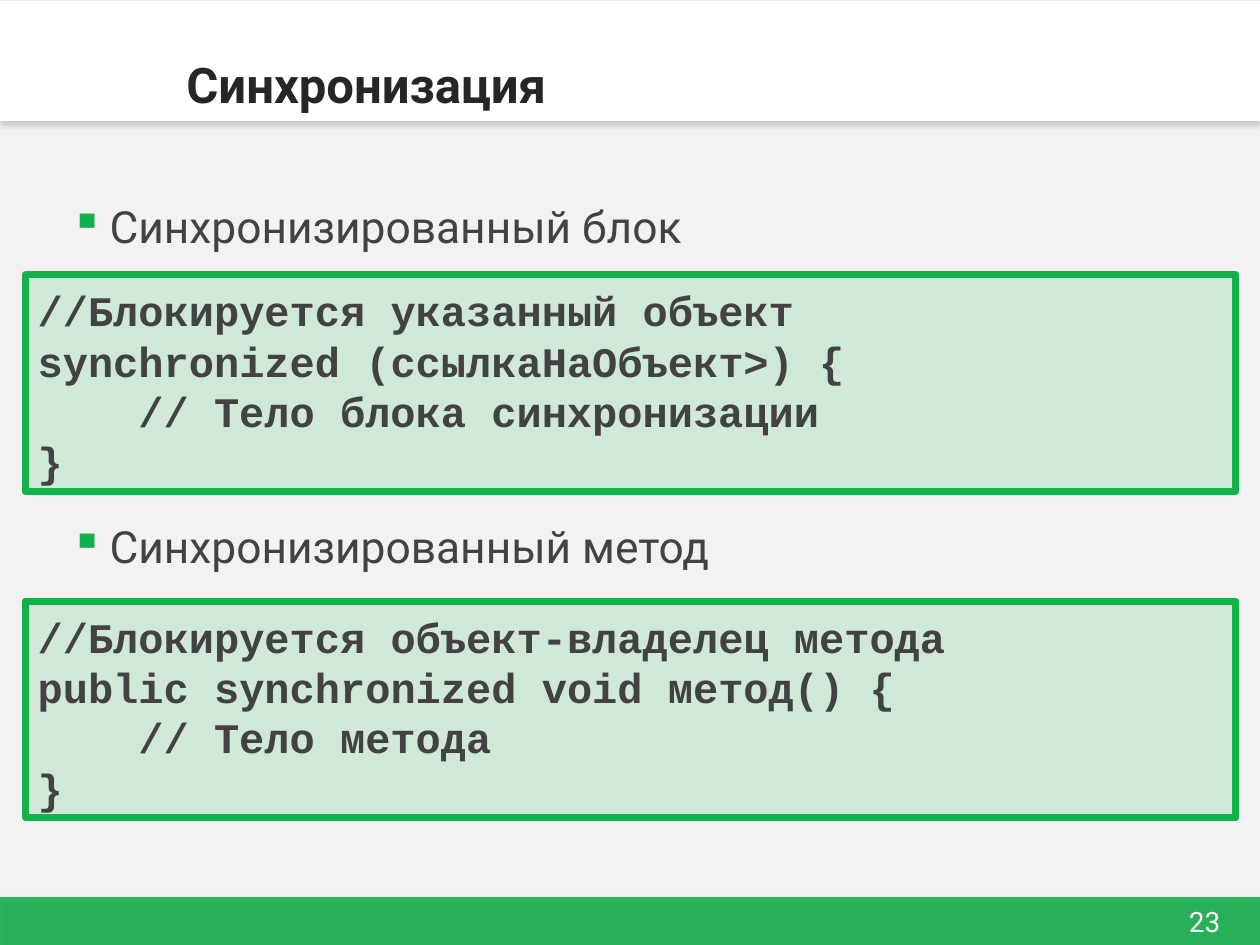
from dataclasses import dataclass

from lxml import etree
from pptx import Presentation
from pptx import util as u
from pptx.dml.color import RGBColor
from pptx.enum import shapes, text
from pptx.oxml import parse_xml
from pptx.oxml.ns import nsdecls, qn

GREEN = RGBColor(0x13, 0xB1, 0x4A)
WHITE = RGBColor(0xFF, 0xFF, 0xFF)
PAGE_GREY = RGBColor(0xF2, 0xF2, 0xF2)
TEXT_GREY = RGBColor(0x42, 0x42, 0x42)
TITLE_GREY = RGBColor(0x26, 0x26, 0x26)
SHADOW_BLACK = RGBColor(0, 0, 0)
SHADOW_GREY = RGBColor(0x80, 0x80, 0x80)

TITLE_FONT = {"name": "Roboto", "size": u.Pt(28), "bold": True}
BODY_FONT = {"name": "Roboto", "size": u.Pt(25.3)}
CODE_FONT = {"name": "Courier New", "size": u.Pt(24), "bold": True}
NUMBER_FONT = {"name": "Roboto", "size": u.Pt(16)}
CODE_INDENT = u.Inches(0.8)  # four monospaced characters


@dataclass
class CodeBlock:
    top: float
    lines: list[tuple[int, str]]  # indent level, code


@dataclass
class Bar:
    top: float
    height: float
    color: RGBColor
    opacity: int
    shadow: RGBColor


BARS = [
    Bar(7.12, 0.38, GREEN, 86, SHADOW_BLACK),
    Bar(0.01, 0.95, WHITE, 100, SHADOW_GREY),
]
BULLETS = ["Синхронизированный блок", "Синхронизированный метод"]
CODE_BLOCKS = [
    CodeBlock(2.18, [
        (0, "//Блокируется указанный объект"),
        (0, "synchronized (ссылкаНаОбъект>) {"),
        (1, "// Тело блока синхронизации"),
        (0, "}"),
    ]),
    CodeBlock(4.77, [
        (0, "//Блокируется объект-владелец метода"),
        (0, "public synchronized void метод() {"),
        (1, "// Тело метода"),
        (0, "}"),
    ]),
]


def place(box, left: float, top: float, width: float, height: float) -> None:
    box.left, box.top = u.Inches(left), u.Inches(top)
    box.width, box.height = u.Inches(width), u.Inches(height)


def add_span(para, words: str, style: dict, color: RGBColor) -> None:
    span = para.add_run()
    span.text = words
    for name, value in style.items():
        setattr(span.font, name, value)
    span.font.color.rgb = color


def set_frame(frame, **values) -> None:
    for name, value in {"word_wrap": True, **values}.items():
        setattr(frame, name, value)


def add_rectangle(page, left: float, top: float, width: float, height: float,
                  color: RGBColor, opacity: int):
    box = page.shapes.add_shape(
        shapes.MSO_SHAPE.RECTANGLE, u.Inches(left), u.Inches(top),
        u.Inches(width), u.Inches(height))
    box.shadow.inherit = False
    box.fill.solid()
    box.fill.fore_color.rgb = color
    if opacity < 100:
        tint = box.element.spPr.find(qn("a:solidFill")).find(qn("a:srgbClr"))
        etree.SubElement(tint, qn("a:alpha"), val=str(opacity * 1000))
    return box


def add_bar(page, bar: Bar) -> None:
    box = add_rectangle(page, 0, bar.top, 10, bar.height, bar.color, bar.opacity)
    box.line.fill.background()
    box.element.spPr.find(qn("a:effectLst")).append(parse_xml(
        f'<a:outerShdw {nsdecls("a")} blurRad="{u.Pt(3.1)}" dist="{u.Pt(1.8)}" '
        f'dir="5400000" rotWithShape="0"><a:srgbClr val="{bar.shadow}">'
        '<a:alpha val="35000"/></a:srgbClr></a:outerShdw>'))


def add_code(page, block: CodeBlock) -> None:
    box = add_rectangle(page, 0.2, block.top, 9.61, 1.72, GREEN, 15)
    box.line.color.rgb = GREEN
    box.line.width = u.Pt(4)
    frame = box.text_frame
    set_frame(frame, vertical_anchor=text.MSO_ANCHOR.TOP, margin_top=u.Inches(0.08))
    for number, (level, code) in enumerate(block.lines):
        para = frame.add_paragraph() if number else frame.paragraphs[0]
        para.alignment = text.PP_ALIGN.LEFT
        para.line_spacing = u.Pt(28.8)
        if level:
            para._p.get_or_add_pPr().set("marL", str(level * CODE_INDENT))
        add_span(para, code, CODE_FONT, TEXT_GREY)


def add_bullets(page, bullets: list[str]) -> None:
    box = page.shapes.add_textbox(0, 0, 0, 0)
    place(box, 0.5, 1.58, 9, 5.21)
    frame = box.text_frame
    set_frame(frame, margin_left=0, margin_top=0, margin_right=0, margin_bottom=0)
    for number, words in enumerate(bullets):
        para = frame.add_paragraph() if number else frame.paragraphs[0]
        if number:
            para.space_before = u.Pt(152.6)  # room for the code block between
        layout = para._p.get_or_add_pPr()
        layout.set("marL", str(u.Inches(0.37)))
        layout.set("indent", str(u.Inches(-0.31)))
        color = etree.SubElement(layout, qn("a:buClr"))
        etree.SubElement(color, qn("a:srgbClr"), val=str(GREEN))
        etree.SubElement(layout, qn("a:buChar"), char="▪")
        add_span(para, words, BODY_FONT, TEXT_GREY)


def add_page_number(page, number: str) -> None:
    box = page.shapes.add_textbox(0, 0, 0, 0)
    place(box, 9.22, 7.13, 0.68, 0.37)
    set_frame(box.text_frame, vertical_anchor=text.MSO_ANCHOR.MIDDLE)
    para = box.text_frame.paragraphs[0]
    para.alignment = text.PP_ALIGN.CENTER
    add_span(para, number, NUMBER_FONT, WHITE)


def set_title(page, words: str) -> None:
    title = page.shapes.title
    place(title, 1.38, -0.01, 8.12, 0.96)
    set_frame(title.text_frame, vertical_anchor=text.MSO_ANCHOR.BOTTOM)
    para = title.text_frame.paragraphs[0]
    para.alignment = text.PP_ALIGN.LEFT
    add_span(para, words, TITLE_FONT, TITLE_GREY)
    title.element.getparent().append(title.element)  # bring above the header bar


def main() -> None:
    deck = Presentation()
    deck.slide_width, deck.slide_height = u.Inches(10), u.Inches(7.5)
    page = deck.slides.add_slide(deck.slide_layouts[5])
    page.background.fill.solid()
    page.background.fill.fore_color.rgb = PAGE_GREY

    # Header and footer
    for bar in BARS:
        add_bar(page, bar)
    add_page_number(page, "23")

    # Content
    add_bullets(page, BULLETS)
    set_title(page, "Синхронизация")
    for block in CODE_BLOCKS:
        add_code(page, block)

    deck.save("out.pptx")


if __name__ == "__main__":
    main()
